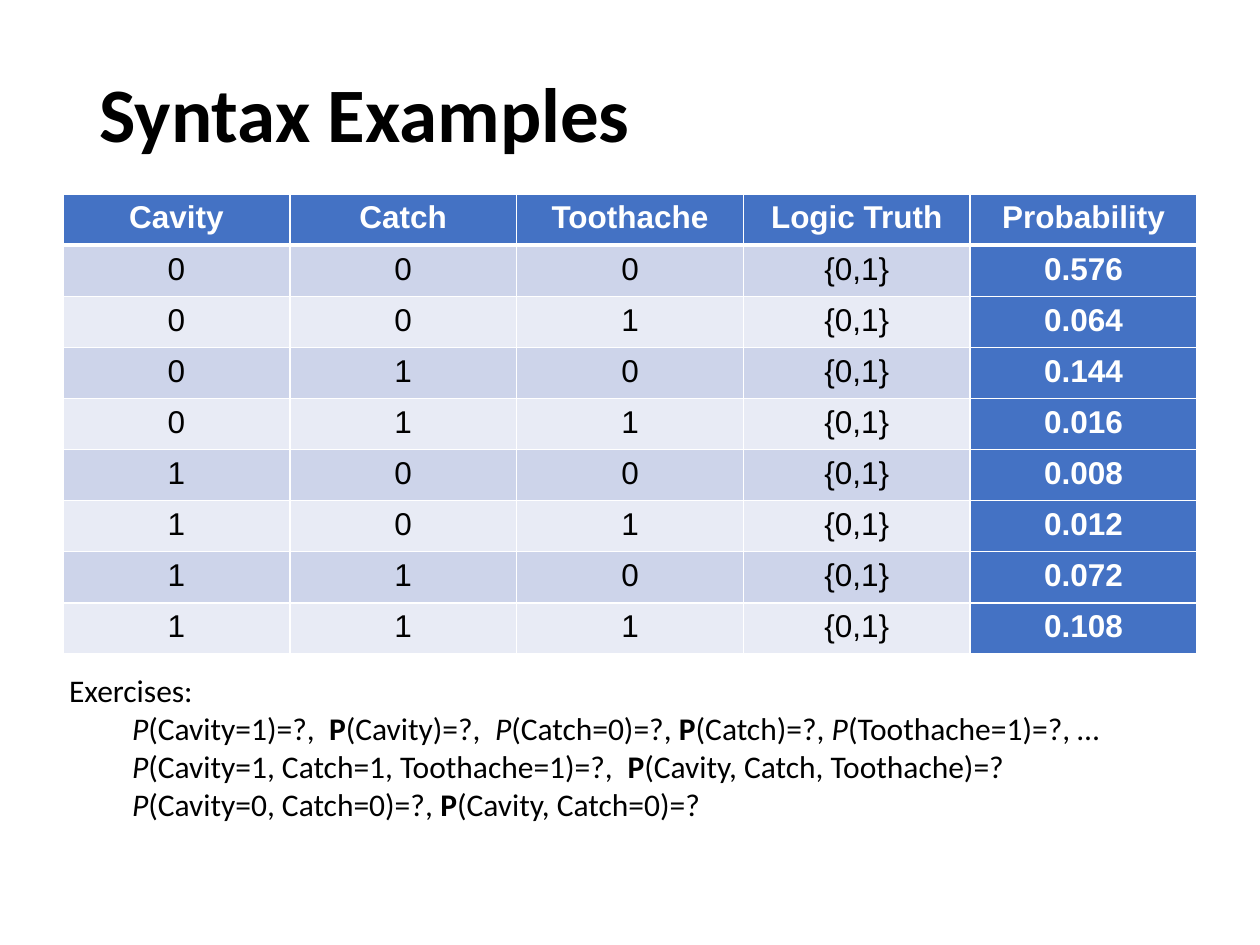
from itertools import product

from lxml import etree
from pptx import Presentation
from pptx import util as u
from pptx.dml import color
from pptx.enum import text
from pptx.oxml import ns

BLUE, WHITE, BLACK = "4472C4", "FFFFFF", "000000"
BANDS = ["CDD4EA", "E8EBF5"]


def style(r, font, size, hex_color, bold=False, italic=False):
    r.font.name, r.font.size = font, u.Pt(size)
    r.font.bold, r.font.italic = bold, italic
    r.font.color.rgb = color.RGBColor.from_string(hex_color)


def border(cell, side, width):
    ln = etree.SubElement(cell._tc.get_or_add_tcPr(), ns.qn("a:ln" + side), w=str(u.Pt(width)))
    fill = etree.SubElement(ln, ns.qn("a:solidFill"))
    etree.SubElement(fill, ns.qn("a:srgbClr"), val=WHITE)


prs = Presentation()
prs.slide_width, prs.slide_height = u.Inches(10), u.Inches(7.5)
s = prs.slides.add_slide(prs.slide_layouts[6])

# Title
tf = s.shapes.add_textbox(u.Inches(0.69), u.Inches(0.4), u.Inches(8.62), u.Inches(1.06)).text_frame
tf.word_wrap = True
tf.vertical_anchor = text.MSO_ANCHOR.MIDDLE
p = tf.paragraphs[0]
p.text, p.line_spacing = "Syntax Examples", 0.9
style(p.runs[0], "Calibri", 44, BLACK, bold=True)

# Joint distribution: every 0/1 combination with its probability
probabilities = ["0.576", "0.064", "0.144", "0.016", "0.008", "0.012", "0.072", "0.108"]
rows = [["Cavity", "Catch", "Toothache", "Logic Truth", "Probability"]]
for world, probability in zip(product("01", repeat=3), probabilities):
    rows.append([*world, "{0,1}", probability])

table = s.shapes.add_table(len(rows), len(rows[0]), u.Inches(0.5), u.Inches(1.54),
                           u.Inches(9), u.Inches(3.65)).table
for i, row in enumerate(rows):
    for j, value in enumerate(row):
        cell = table.cell(i, j)
        accent = i == 0 or j == len(row) - 1
        for side in "LRTB":
            under_header = (i, side) in [(0, "B"), (1, "T")]
            border(cell, side, 3 if under_header else 1)
        cell.fill.solid()
        cell.fill.fore_color.rgb = color.RGBColor.from_string(BLUE if accent else BANDS[(i - 1) % 2])
        p = cell.text_frame.paragraphs[0]
        p.text, p.alignment = value, text.PP_ALIGN.CENTER
        style(p.runs[0], "Arial", 18, WHITE if accent else BLACK, bold=accent)

# Exercises: pieces split at "|", "/" marks italic and "*" marks bold
exercises = [
    "Exercises: \t",
    "\t|/P|(Cavity=1)=?,  |*P|(Cavity)=?,  |/P|(Catch=0)=?, |*P|(Catch)=?, |/P|(Toothache=1)=?, …",
    "\t|/P|(Cavity=1, Catch=1, Toothache=1)=?,  |*P|(Cavity, Catch, Toothache)=?",
    "\t|/P|(Cavity=0, Catch=0)=?, |*P|(Cavity, Catch=0)=?",
]
tf = s.shapes.add_textbox(u.Inches(0.45), u.Inches(5.28), u.Inches(8.51), u.Inches(1.31)).text_frame
tf.word_wrap = True
for i, line in enumerate(exercises):
    p = tf.add_paragraph() if i else tf.paragraphs[0]
    for piece in line.split("|"):
        r = p.add_run()
        r.text = piece.lstrip("/*")
        style(r, "Calibri", 18, BLACK, bold=piece.startswith("*"), italic=piece.startswith("/"))

prs.save("out.pptx")
